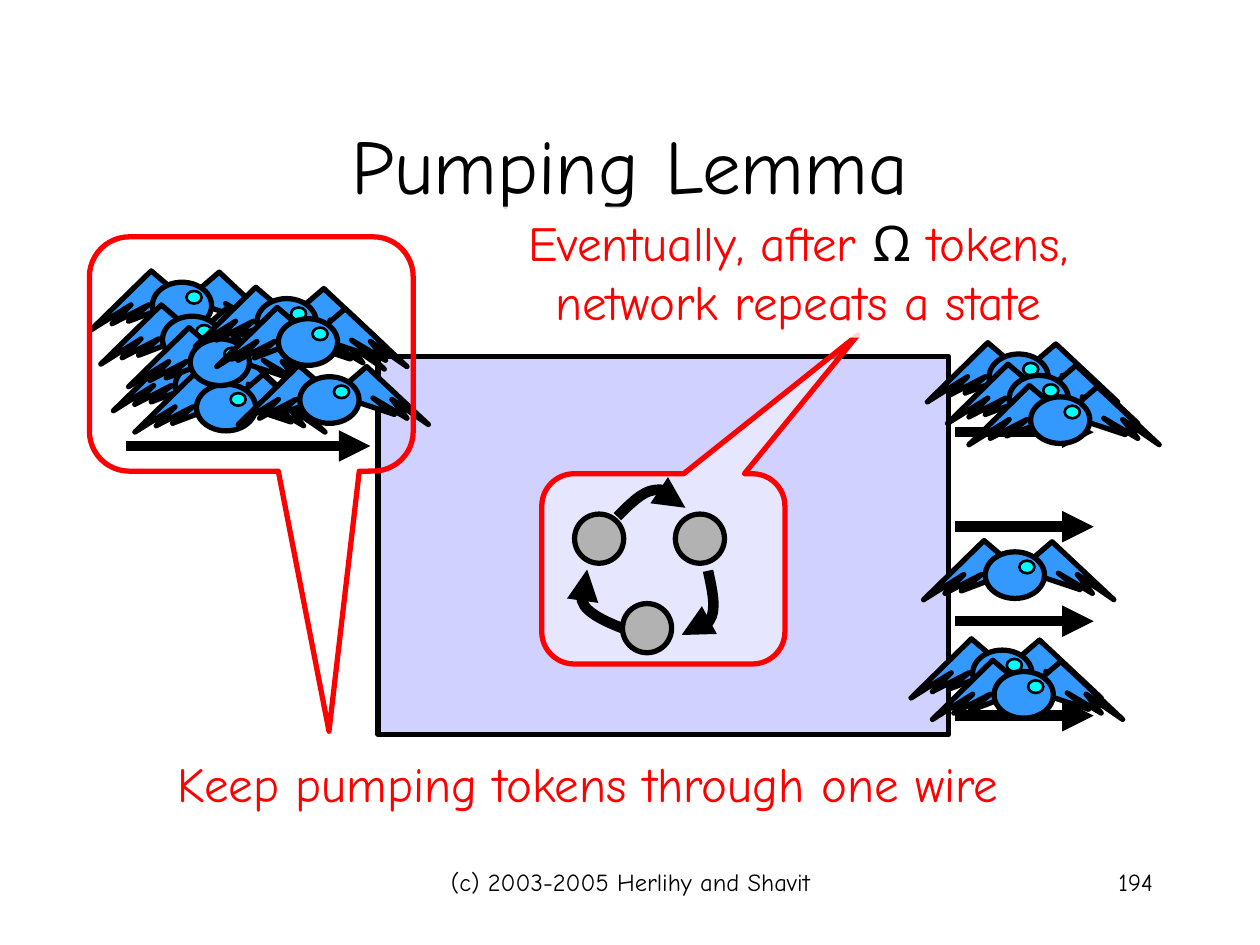
from lxml import etree
from pptx import Presentation
from pptx.dml.color import RGBColor
from pptx.enum.shapes import MSO_CONNECTOR as Connector, MSO_SHAPE as Shape
from pptx.enum.text import MSO_ANCHOR as Anchor, PP_ALIGN as Align
from pptx.oxml.ns import qn
from pptx.util import Inches, Pt

FONT = "Comic Neue"
BLACK, RED, WHITE = "000000", "FF0000", "FFFFFF"
BLUE, CYAN, GRAY, LAVENDER = "3399FF", "00FFFF", "B2B2B2", "CCCCFF"

# Bird parts, measured from the bird's top left corner.
RIGHT_WING = [(0.81, 0.19), (1.02, 0.01), (1.51, 0.47), (1.22, 0.27),
              (1.34, 0.42), (1.07, 0.26), (1.24, 0.39), (0.76, 0.23)]
LEFT_WING = [(0.69, 0.18), (0.48, 0), (0, 0.47), (0.32, 0.27),
             (0.17, 0.42), (0.46, 0.27), (0.3, 0.4), (0.75, 0.23)]

INPUT_BIRDS = [(0.9, 2.79), (1.07, 2.96), (0.72, 2.15), (1.54, 2.46), (0.8, 2.42),
               (1.02, 2.6), (1.89, 2.9), (1.55, 2.28), (1.72, 2.44)]
OUTPUT_BIRDS = [(7.36, 2.72), (7.52, 2.89), (7.33, 4.29), (7.23, 5.07),
                (7.4, 5.24), (7.69, 3.06)]
STATES = [(4.56, 4.08), (5.36, 4.08), (4.94, 4.79)]
# Each curve is a start point followed by two Bézier segments.
TRANSITIONS = [
    [(4.9, 4.1), (5, 4), (5.1, 3.9), (5.19, 3.89), (5.28, 3.88), (5.36, 3.96), (5.44, 4.03)],
    [(5.62, 4.53), (5.65, 4.67), (5.68, 4.8), (5.65, 4.89), (5.61, 4.97), (5.51, 5), (5.41, 5.04)],
    [(4.95, 4.99), (4.82, 4.94), (4.69, 4.88), (4.64, 4.81), (4.6, 4.73), (4.63, 4.63), (4.66, 4.52)],
]


def color(hex_string):
    return RGBColor.from_string(hex_string)


def paint(shape, fill=None, line=None, width=3, opacity=100):
    shape.shadow.inherit = False
    if fill:
        shape.fill.solid()
        shape.fill.fore_color.rgb = color(fill)
        if opacity < 100:
            tone = shape.fill._xPr.find(qn("a:solidFill"))[0]
            etree.SubElement(tone, qn("a:alpha"), val=str(opacity * 1000))
    else:
        shape.fill.background()
    if line:
        shape.line.color.rgb = color(line)
        shape.line.width = Pt(width)
    else:
        shape.line.fill.background()


def add_preset(shapes, kind, bounds, **look):
    shape = shapes.add_shape(kind, *map(Inches, bounds))
    paint(shape, **look)
    return shape


def add_outline(shapes, points, closed=True):
    corners = [(Inches(x), Inches(y)) for x, y in points]
    builder = shapes.build_freeform(*corners[0])
    builder.add_line_segments(corners[1:], close=closed)
    return builder.convert_to_shape()


def add_arrowhead(shape):
    etree.SubElement(shape.line._get_or_add_ln(), qn("a:tailEnd"), type="triangle")


def add_arrow(page, left, right, y):
    arrow = page.shapes.add_connector(
        Connector.STRAIGHT, Inches(left), Inches(y), Inches(right), Inches(y))
    arrow.line.color.rgb = color(BLACK)
    arrow.line.width = Pt(6)
    add_arrowhead(arrow)
    etree.SubElement(arrow._element.spPr, qn("a:effectLst"))


def add_curved_arrow(page, points):
    """Draw the outline, then join each three segments into one Bézier curve."""
    curve = add_outline(page.shapes, points, closed=False)
    paint(curve, line=BLACK, width=6)
    add_arrowhead(curve)
    segments = list(curve._element.iter(qn("a:lnTo")))
    path = segments[0].getparent()
    for start in range(0, len(segments), 3):
        bezier = etree.SubElement(path, qn("a:cubicBezTo"))
        for segment in segments[start:start + 3]:
            bezier.append(segment[0])
            path.remove(segment)


def add_bird(page, left, top):
    bird = page.shapes.add_group_shape()
    for wing in (RIGHT_WING, LEFT_WING):
        outline = add_outline(bird.shapes, [(left + x, top + y) for x, y in wing])
        paint(outline, BLUE, BLACK)
    add_preset(bird.shapes, Shape.OVAL, (left + 0.49, top + 0.09, 0.47, 0.37),
               fill=BLUE, line=BLACK)
    add_preset(bird.shapes, Shape.OVAL, (left + 0.76, top + 0.16, 0.12, 0.1),
               fill=CYAN, line=BLACK, width=1.5)


def add_callout(page, bounds, tip, **look):
    callout = add_preset(page.shapes, Shape.ROUNDED_RECTANGULAR_CALLOUT, bounds,
                         line=RED, **look)
    for index, value in enumerate((*tip, 0.17)):
        callout.adjustments[index] = value


def write(box, spans, size, align=Align.CENTER, anchor=Anchor.TOP):
    """Fill the box with one paragraph of (text, color) spans."""
    frame = box.text_frame
    frame.word_wrap = True
    frame.vertical_anchor = anchor
    para = frame.paragraphs[0]
    para.alignment = align
    para.font.name = FONT
    para.font.size = Pt(size)
    for text, tone in spans:
        span = para.add_run()
        span.text = text
        span.font.color.rgb = color(tone)


def add_text(page, bounds, text, size, **layout):
    write(page.shapes.add_textbox(*map(Inches, bounds)), [(text, BLACK)], size, **layout)


def add_caption(page, bounds, spans):
    write(add_preset(page.shapes, Shape.RECTANGLE, bounds, fill=WHITE, opacity=85), spans, 28)


def main():
    deck = Presentation()
    deck.slide_width, deck.slide_height = Inches(10), Inches(7.5)
    page = deck.slides.add_slide(deck.slide_layouts[6])

    add_text(page, (0.75, 0.67, 8.5, 1.25), "Pumping Lemma", 44, anchor=Anchor.MIDDLE)
    add_preset(page.shapes, Shape.RECTANGLE, (3, 2.83, 4.53, 3),
               fill=LAVENDER, line=BLACK, opacity=90)

    add_arrow(page, 1, 2.94, 3.54)
    for bird in INPUT_BIRDS:
        add_bird(page, *bird)
    for wire in range(4):
        add_arrow(page, 7.58, 8.68, 3.43 + 0.75 * wire)
    for bird in OUTPUT_BIRDS:
        add_bird(page, *bird)

    add_callout(page, (0.71, 1.88, 2.57, 1.86), (0.24, 1.61))
    add_caption(page, (0.96, 5.93, 7.41, 0.57),
                [("Keep pumping tokens through one wire", RED)])
    add_callout(page, (4.3, 3.76, 1.93, 1.51), (0.8, -1.23), fill=WHITE, opacity=46)
    add_caption(page, (3.53, 1.64, 5.61, 1.04),
                [("Eventually, after ", RED), ("Ω", BLACK),
                 (" tokens, network repeats a state", RED)])

    for left, top in STATES:
        add_preset(page.shapes, Shape.OVAL, (left, top, 0.39, 0.39), fill=GRAY, line=BLACK)
    for points in TRANSITIONS:
        add_curved_arrow(page, points)

    add_text(page, (3.42, 6.83, 3.17, 0.5), "(c) 2003-2005 Herlihy and Shavit", 14)
    add_text(page, (7.17, 6.83, 2.08, 0.5), "194", 14, align=Align.RIGHT)
    deck.save("out.pptx")


if __name__ == "__main__":
    main()
